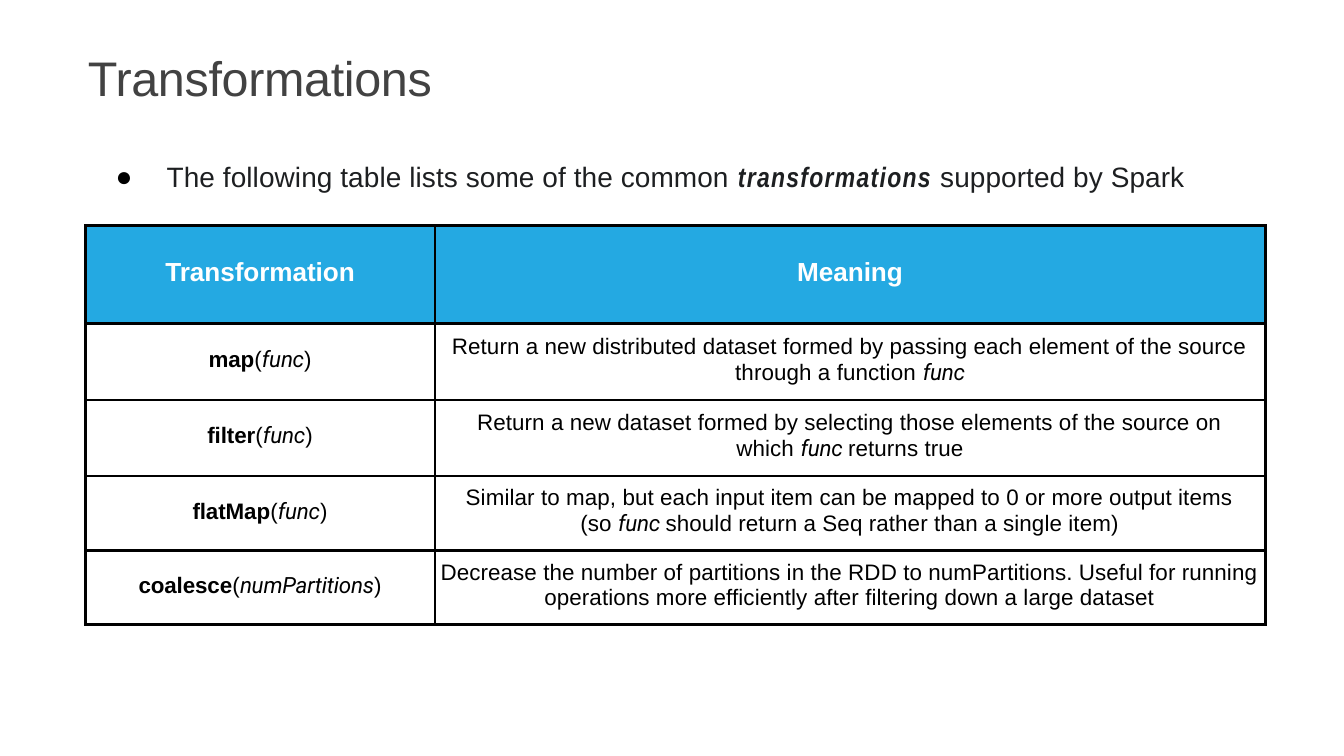
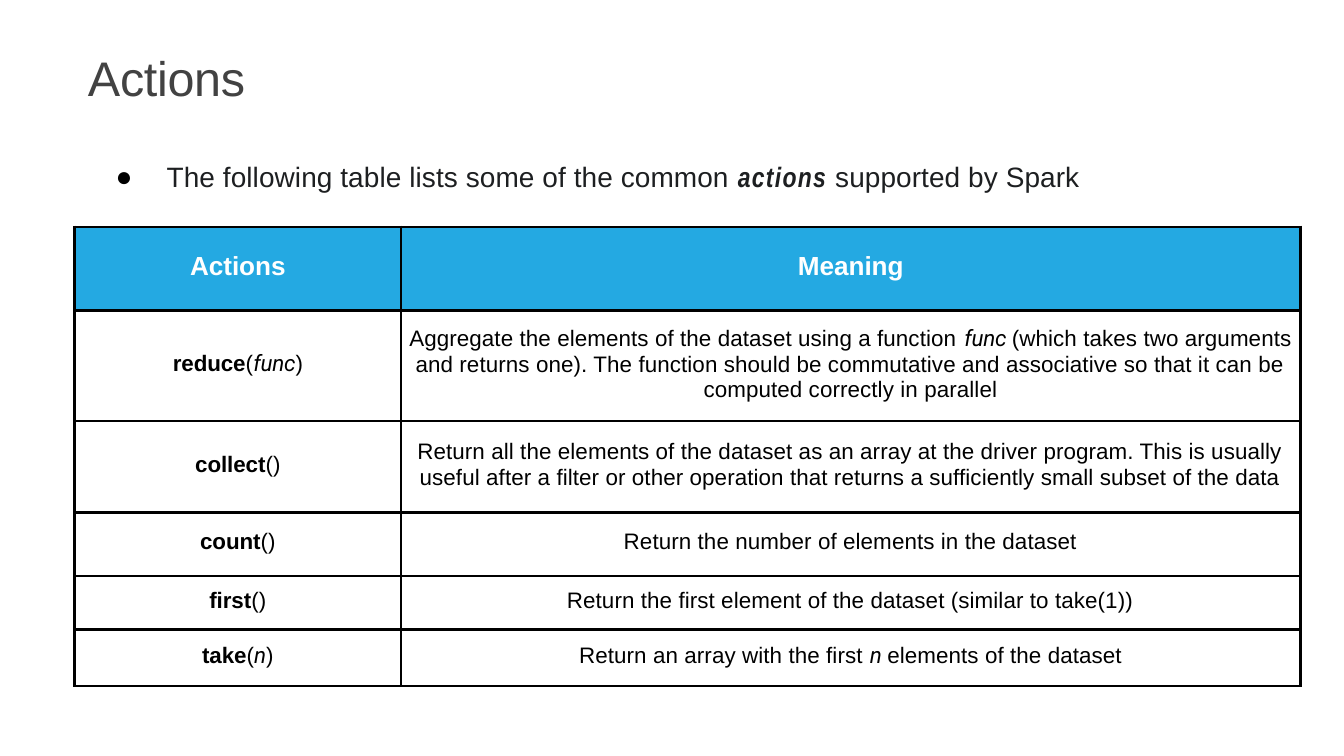
import pptx
import pptx.dml.color
import pptx.enum.text
import pptx.util
import lxml.etree

BLACK, WHITE, HEADER_BLUE = "000000", "FFFFFF", "24A9E2"
TITLE_GREY, BODY_GREY = "424242", "1D1F21"
BORDER_WIDTH = pptx.util.Pt(1.5)

PLAIN = ("Arial", False, False, 5)
STYLES = {
    "^": ("Arial", False, False, -20),
    "*": ("Arial", True, False, -5),
    "_": ("Roboto", False, True, -10),
    "~": ("Arial Narrow", True, True, 70),
}

SLIDES = [
    {
        "title": "Transformations",
        "topic": "transformations",
        "left": 6.35,
        "top": 29.8,
        "columns": [26, 61.8],
        "rows": [
            (13, 0, "*Transformation", "*Meaning"),
            (10.1, 1, "*map|(|_func|)",
             "Return a new distributed dataset formed by passing each element "
             "of the source through a function |_func"),
            (10.1, 2, "*filter|(|_func|)",
             "Return a new dataset formed by selecting those elements of the "
             "source on which |_func |returns true"),
            (9.8, 1.5, "*flatMap|(|_func|)",
             "Similar to map, but each input item can be mapped to 0 or more "
             "output items (so |_func |should return a Seq rather than a single item)"),
            (9.8, 0, "*coalesce|(|_numPartitions|)",
             "Decrease the number of partitions in the RDD to numPartitions. "
             "Useful for running operations more efficiently after filtering "
             "down a large dataset"),
        ],
    },
    {
        "title": "Actions",
        "topic": "actions",
        "left": 5.55,
        "top": 30,
        "columns": [24.3, 66.9],
        "rows": [
            (11.1, 0, "*Actions", "*Meaning"),
            (14.6, 0, "*reduce|(|_func|)",
             "Aggregate the elements of the dataset using a function |_func "
             "|(which takes two arguments and returns one). The function should "
             "be commutative and associative so that it can be computed "
             "correctly in parallel"),
            (12.1, 0, "*collect|()",
             "Return all the elements of the dataset as an array at the driver "
             "program. This is usually useful after a filter or other operation "
             "that returns a sufficiently small subset of the data"),
            (8.4, 0, "*count|()", "Return the number of elements in the dataset"),
            (7.1, 0, "*first|()",
             "Return the first element of the dataset (similar to take(1))"),
            (7.5, 0, "*take|(|_n|)",
             "Return an array with the first |_n |elements of the dataset"),
        ],
    },
]


def color(value):
    return pptx.dml.color.RGBColor.from_string(value)


def write(paragraph, text, size, hex_color):
    paragraph.font.size = pptx.util.Pt(size)
    paragraph.font.color.rgb = color(hex_color)
    for piece in text.split("|"):
        name, bold, italic, spacing = STYLES.get(piece[0], PLAIN)
        run = paragraph.add_run()
        run.text = piece[1:] if piece[0] in STYLES else piece
        run.font.name = name
        run.font.bold = bold
        run.font.italic = italic
        run._r.get_or_add_rPr().set("spc", str(spacing))


presentation = pptx.Presentation()
presentation.slide_width = pptx.util.Inches(10)
presentation.slide_height = presentation.slide_width * 9 // 16
column = presentation.slide_width / 100
row = presentation.slide_height / 100

for content in SLIDES:
    slide = presentation.slides.add_slide(presentation.slide_layouts[6])

    paragraphs = []
    for left, top, width, height in [(6.55, 5.8, 47.7, 8.2), (8.5, 20.6, 82, 5)]:
        box = slide.shapes.add_textbox(
            int(left * column), int(top * row), int(width * column), int(height * row))
        frame = box.text_frame
        frame.word_wrap = True
        frame.margin_left = frame.margin_right = frame.margin_bottom = 0
        frame.margin_top = pptx.util.Inches(0.03)
        paragraphs.append(frame.paragraphs[0])
    title, bullet = paragraphs

    write(title, "^" + content["title"], 26, TITLE_GREY)

    properties = bullet._p.get_or_add_pPr()
    properties.set("marL", str(int(3.9 * column)))
    properties.set("indent", str(int(-3.8 * column)))
    bullet_color = lxml.etree.SubElement(properties, pptx.oxml.ns.qn("a:buClr"))
    lxml.etree.SubElement(bullet_color, pptx.oxml.ns.qn("a:srgbClr"), val=BLACK)
    lxml.etree.SubElement(properties, pptx.oxml.ns.qn("a:buFont"), typeface="Arial")
    lxml.etree.SubElement(properties, pptx.oxml.ns.qn("a:buChar"), char="●")
    write(bullet, "The following table lists some of the common |~"
          + content["topic"] + " |supported by Spark", 15, BODY_GREY)

    rows, widths = content["rows"], content["columns"]
    table = slide.shapes.add_table(
        len(rows), len(widths), int(content["left"] * column), int(content["top"] * row),
        int(sum(widths) * column), int(sum(entry[0] for entry in rows) * row)).table
    for index, width in enumerate(widths):
        table.columns[index].width = int(width * column)

    for row_index, (height, side_margin, *texts) in enumerate(rows):
        table.rows[row_index].height = int(height * row)
        is_header = row_index == 0
        for column_index, text in enumerate(texts):
            cell = table.cell(row_index, column_index)
            cell.margin_left = cell.margin_right = int(side_margin * column)
            cell.margin_top = 0
            cell.margin_bottom = pptx.util.Inches(0.03)
            cell.vertical_anchor = pptx.enum.text.MSO_ANCHOR.MIDDLE
            for side in ("lnL", "lnR", "lnT", "lnB"):
                border = lxml.etree.SubElement(
                    cell._tc.get_or_add_tcPr(), pptx.oxml.ns.qn("a:" + side),
                    w=str(BORDER_WIDTH))
                border_fill = lxml.etree.SubElement(border, pptx.oxml.ns.qn("a:solidFill"))
                lxml.etree.SubElement(border_fill, pptx.oxml.ns.qn("a:srgbClr"), val=BLACK)
            cell.fill.solid()
            cell.fill.fore_color.rgb = color(HEADER_BLUE if is_header else WHITE)
            paragraph = cell.text_frame.paragraphs[0]
            paragraph.alignment = pptx.enum.text.PP_ALIGN.CENTER
            write(paragraph, text, 14 if is_header else 12, WHITE if is_header else BLACK)

presentation.save("out.pptx")
